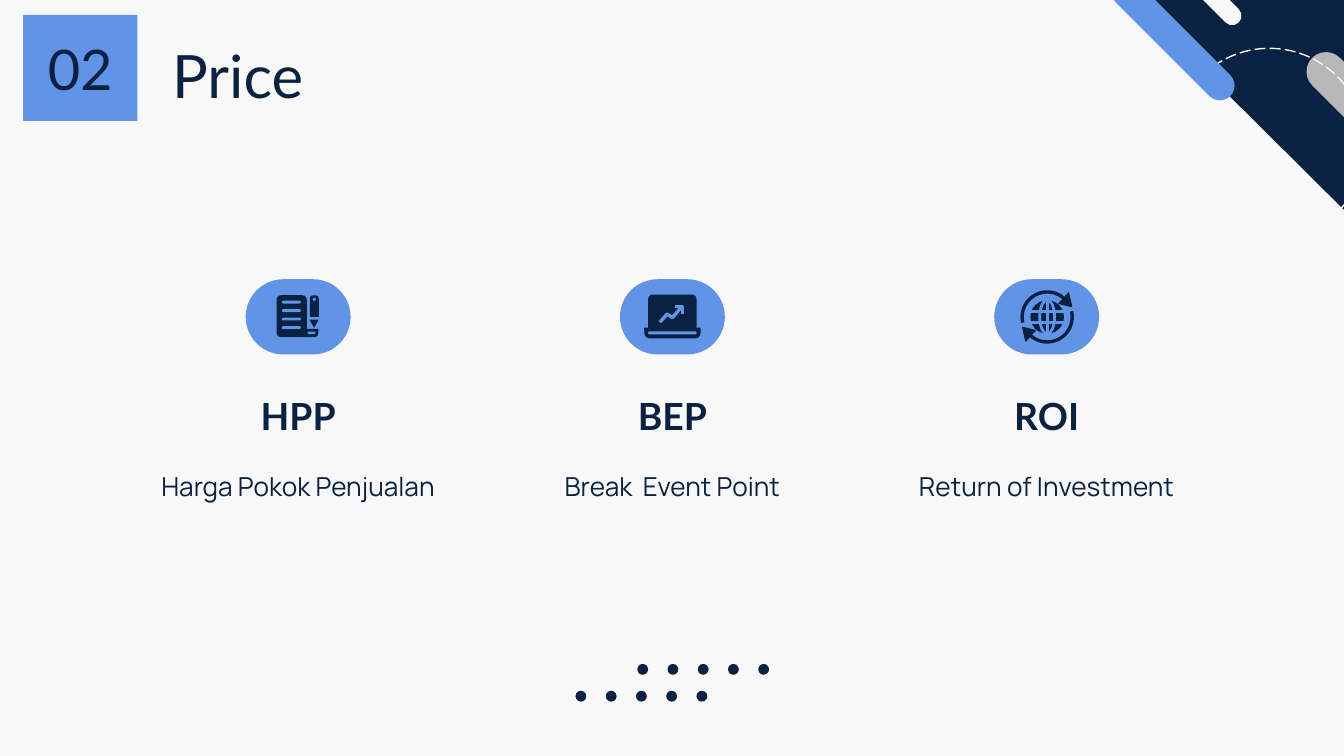
from math import cos, radians, sin

from pptx import Presentation
from pptx.dml.color import RGBColor
from pptx.enum.dml import MSO_LINE
from pptx.enum.shapes import MSO_SHAPE
from pptx.enum.text import MSO_ANCHOR, PP_ALIGN
from pptx.util import Pt

NAVY = RGBColor(0x09, 0x22, 0x41)
BLUE = RGBColor(0x61, 0x94, 0xE6)
GREY = RGBColor(0xB7, 0xB7, 0xB7)
PAPER = RGBColor(0xF8, 0xF8, 0xF8)

HEADING = {"size": Pt(20), "name": "Lato", "bold": True}
BODY = {"size": Pt(14), "name": "Manrope"}
TITLE = {"size": Pt(32), "name": "Lato"}
NUMBER = {"size": Pt(30), "name": "Lato"}


def paint(sp, fill=None, line=None, width=1):
    """Set fill and outline, either of which may be absent."""
    sp.shadow.inherit = False
    if fill is None:
        sp.fill.background()
    else:
        sp.fill.solid()
        sp.fill.fore_color.rgb = fill
    if line is None:
        sp.line.fill.background()
    else:
        sp.line.color.rgb = line
        sp.line.width = Pt(width)
    return sp


def add_preset(s, kind, x, y, w, h, fill=None, rotation=0, radius=None, **outline):
    """Add a preset shape at a place in points."""
    sp = s.shapes.add_shape(kind, Pt(x), Pt(y), Pt(w), Pt(h))
    sp.rotation = rotation
    if radius is not None:
        sp.adjustments[0] = radius
    return paint(sp, fill, **outline)


def add_pill(s, x, y, w, h, fill, rotation=0, radius=0.5):
    """Add a rounded rectangle, fully rounded by default."""
    return add_preset(s, MSO_SHAPE.ROUNDED_RECTANGLE, x, y, w, h, fill, rotation, radius)


def add_path(s, x, y, points, close=False, **look):
    """Add a path of points relative to x, y."""
    pts = [(Pt(x + px), Pt(y + py)) for px, py in points]
    fb = s.shapes.build_freeform(*pts[0])
    fb.add_line_segments(pts[1:], close=close)
    return paint(fb.convert_to_shape(), **look)


def write(sp, text, font, align=PP_ALIGN.CENTER, anchor=MSO_ANCHOR.TOP, spacing=1.0):
    """Write one paragraph into a shape."""
    tf = sp.text_frame
    frame = {"word_wrap": True, "vertical_anchor": anchor}
    frame.update({f"margin_{side}": Pt(7.2) for side in ("left", "top", "right", "bottom")})
    for key, value in frame.items():
        setattr(tf, key, value)
    p = tf.paragraphs[0]
    p.alignment, p.line_spacing = align, spacing
    r = p.add_run()
    r.text = text
    r.font.color.rgb = NAVY
    for key, value in font.items():
        setattr(r.font, key, value)


def add_text(s, x, y, w, h, text, font, **layout):
    """Add a text box holding one paragraph."""
    write(s.shapes.add_textbox(Pt(x), Pt(y), Pt(w), Pt(h)), text, font, **layout)


def add_corner(s, x, y, w, h):
    """Draw the top right decoration."""
    add_preset(s, MSO_SHAPE.RIGHT_TRIANGLE, x, y, w, h, NAVY, 180)
    add_pill(s, x + 87.1, y + 56.9, 90.7, 20.9, GREY, 45)
    ring = add_preset(s, MSO_SHAPE.OVAL, x + 25.9, y + 30.2, 103, 103, line=PAPER, width=0.75)
    ring.line.dash_style = MSO_LINE.LONG_DASH
    add_pill(s, x - 17.3, y + 17.3, 86.4, 15.8, BLUE, 45)
    add_pill(s, x + 9.4, y - 10.1, 60.5, 10.1, PAPER, 45)


def add_dots(s, x, y, w, h):
    """Draw two offset rows of five dots."""
    size, step = 5.8, 16.2
    row_width = 4 * step + size
    for left, top in ((x + w - row_width, y), (x, y + h - size)):
        for i in range(5):
            add_preset(s, MSO_SHAPE.OVAL, left + i * step, top, size, size, NAVY)


def document_icon(s, x, y):
    """Draw a page with a pencil, inside the pill at x, y."""
    add_pill(s, x + 16.6, y + 8.6, 16.2, 22.4, NAVY, radius=0.14)
    add_preset(s, MSO_SHAPE.ROUND_2_SAME_RECTANGLE, x + 28, y + 26.6, 11, 4.4, NAVY, 180, 0.5)
    add_preset(s, MSO_SHAPE.ROUND_2_SAME_RECTANGLE, x + 33.2, y + 28, 4.2, 1.4, BLUE, 180, 0.5)
    for i in range(4):
        add_pill(s, x + 19.4, y + 11.5 + 4.55 * i, 10.2, 1.5, BLUE)
    add_preset(s, MSO_SHAPE.ROUND_2_SAME_RECTANGLE, x + 34.4, y + 8.6, 4.8, 11.6, NAVY, radius=0.35)
    add_preset(s, MSO_SHAPE.RECTANGLE, x + 36, y + 10, 1.6, 1.6, BLUE)
    add_path(s, x, y, [(34.2, 21.6), (39.2, 21.6), (36.7, 26)], True, fill=NAVY)


def laptop_icon(s, x, y):
    """Draw a laptop showing a rising line, inside the pill at x, y."""
    add_preset(s, MSO_SHAPE.ROUND_2_SAME_RECTANGLE, x + 15.1, y + 8.2, 26, 18.2, NAVY, radius=0.14)
    add_preset(s, MSO_SHAPE.ROUND_2_SAME_RECTANGLE, x + 13, y + 25.9, 30.2, 5.8, NAVY, 180, 0.5)
    add_pill(s, x + 15.1, y + 27.9, 26, 1.7, BLUE)
    for points in (
        [(21.4, 23), (25.3, 18.7), (28.1, 20.6), (33, 14.9)],
        [(29.5, 14.6), (33.5, 14.6), (33.5, 18.7)],
    ):
        add_path(s, x, y, points, line=BLUE, width=1.8)


def globe_icon(s, x, y):
    """Draw a globe between two circling arrows, inside the pill at x, y."""
    cx, cy, r = x + 28.4, y + 20.2, 9
    add_preset(s, MSO_SHAPE.OVAL, cx - r, cy - r, 2 * r, 2 * r, NAVY)
    add_preset(s, MSO_SHAPE.OVAL, cx - 4, cy - r, 8, 2 * r, line=BLUE, width=1.5)
    for points in ([(0, -r), (0, r)], [(-r, -3.1), (r, -3.1)], [(-r, 3.1), (r, 3.1)]):
        add_path(s, cx, cy, points, line=BLUE, width=1.6)
    for turn in (1, -1):
        angles = [radians(a) for a in range(167, 314, 3)]
        arc = [(turn * 13.4 * cos(a), turn * 13.4 * sin(a)) for a in angles]
        head = [(turn * px, turn * py) for px, py in ((6.2, -7.2), (13.2, -5.5), (11.5, -13))]
        add_path(s, cx, cy, arc, line=NAVY, width=1.8)
        add_path(s, cx, cy, head, True, fill=NAVY, line=NAVY, width=0.5)


def add_column(s, x, y, w, draw_icon, heading, body):
    """Draw one icon with its heading and explanation."""
    pill_x = x + (w - 56.2) / 2
    add_pill(s, pill_x, y, 56.2, 40.3, BLUE)
    draw_icon(s, pill_x, y)
    add_text(s, x, y + 58.3, w, 33.8, heading, HEADING, anchor=MSO_ANCHOR.BOTTOM)
    add_text(s, x, y + 92.9, w, 68.4, body, BODY, spacing=1.15)


def add_header(s, x, y, w, h):
    """Draw the section number and the title."""
    badge = add_preset(s, MSO_SHAPE.RECTANGLE, x, y, 61.2, h, BLUE)
    write(badge, "02", NUMBER, anchor=MSO_ANCHOR.MIDDLE)
    add_text(s, x + 72.7, y + 5.8, w - 72.7, 45.4, "Price", TITLE, align=PP_ALIGN.LEFT)


def main():
    """Build the slide and save it."""
    prs = Presentation()
    prs.slide_width, prs.slide_height = Pt(720), Pt(405)
    s = prs.slides.add_slide(prs.slide_layouts[6])
    s.background.fill.solid()
    s.background.fill.fore_color.rgb = PAPER
    add_corner(s, 602.6, -4.3, 122.4, 121.7)
    add_dots(s, 308.3, 355.7, 103.7, 20.2)
    columns = (
        (document_icon, "HPP", "Harga Pokok Penjualan"),
        (laptop_icon, "BEP", "Break  Event Point"),
        (globe_icon, "ROI", "Return of Investment"),
    )
    for i, column in enumerate(columns):
        add_column(s, 74 + 200.5 * i, 149.6, 171.4, *column)
    add_header(s, 12.4, 7.9, 679.5, 56.9)
    prs.save("out.pptx")


if __name__ == "__main__":
    main()
